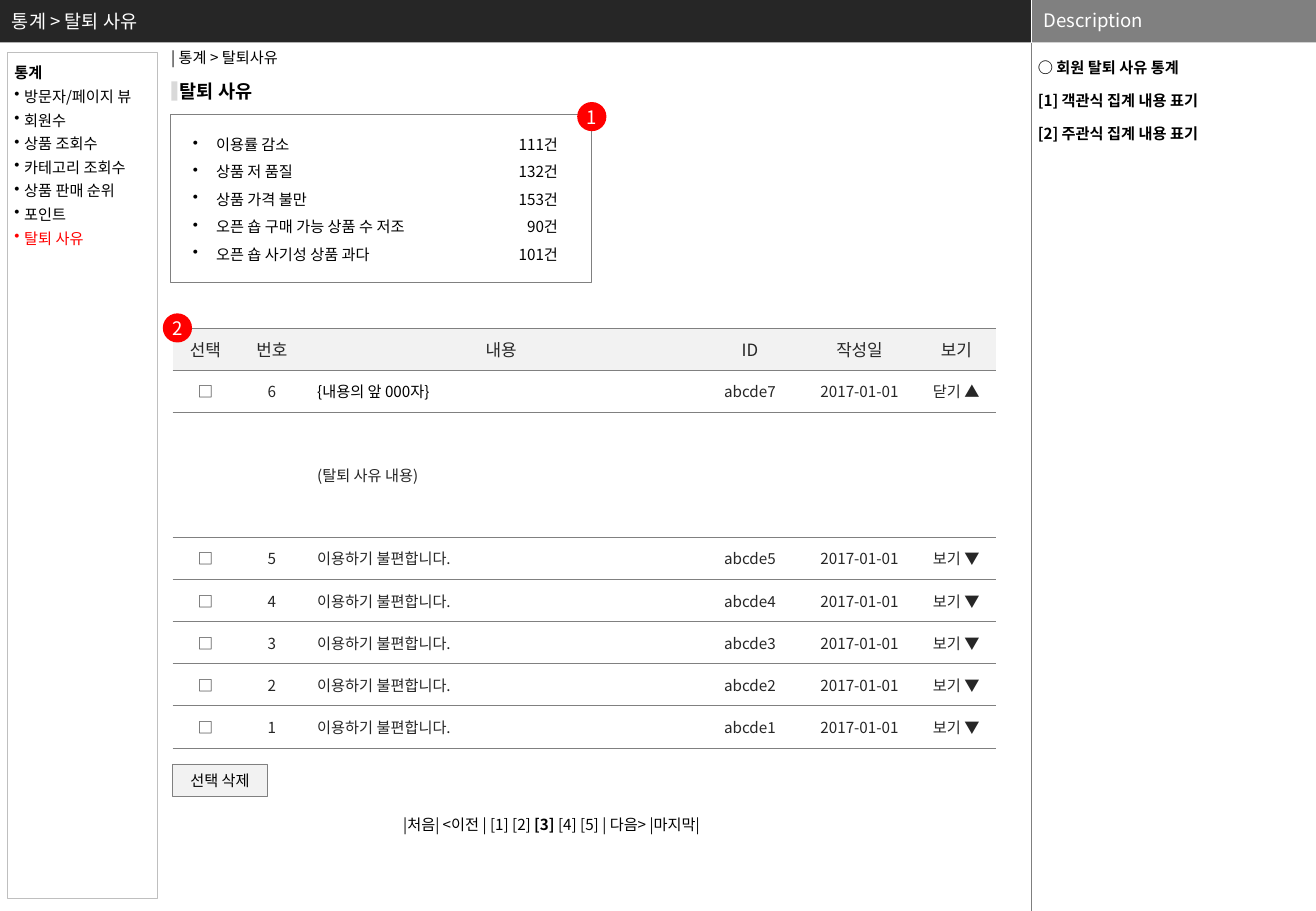
from dataclasses import dataclass

from lxml import etree
from pptx import Presentation
from pptx.dml.color import RGBColor
from pptx.enum.shapes import MSO_CONNECTOR, MSO_SHAPE
from pptx.enum.text import MSO_ANCHOR, MSO_AUTO_SIZE, PP_ALIGN
from pptx.oxml.ns import qn
from pptx.util import Emu, Inches, Pt

RECT, OVAL = MSO_SHAPE.RECTANGLE, MSO_SHAPE.OVAL
STRAIGHT = MSO_CONNECTOR.STRAIGHT
TOP, MIDDLE = MSO_ANCHOR.TOP, MSO_ANCHOR.MIDDLE
LEFT, CENTER, RIGHT = PP_ALIGN.LEFT, PP_ALIGN.CENTER, PP_ALIGN.RIGHT
FIT, FIXED = MSO_AUTO_SIZE.SHAPE_TO_FIT_TEXT, MSO_AUTO_SIZE.NONE

FONT = "Noto Sans CJK KR"
BLACK, WHITE, RED = "000000", "FFFFFF", "FF0000"
DARK, GRAY, PALE = "262626", "808080", "F2F2F2"
SPLIT, BAR = 78.39, 4.67  # description column and header height, in percent
INSETS = (0.1, 0.05, 0.1, 0.05)

prs = Presentation()
prs.slide_width, prs.slide_height = Inches(10.83), Inches(7.5)
s = prs.slides.add_slide(prs.slide_layouts[6])


@dataclass
class Box:
    """Left, top, width and height in percent of the slide."""
    x: float
    y: float
    w: float
    h: float

    def emu(self) -> tuple[Emu, Emu, Emu, Emu]:
        return across(self.x), down(self.y), across(self.w), down(self.h)


@dataclass
class Style:
    size: float = 9
    color: str = BLACK
    bold: bool = False
    align: PP_ALIGN = LEFT
    anchor: MSO_ANCHOR = TOP
    insets: tuple[float, float, float, float] = INSETS
    wrap: bool = True
    grow: bool = False
    spacing: float | Pt | None = None
    before: float = 0
    indent: float = 0


def across(share: float) -> Emu:
    return Emu(round(prs.slide_width * share / 100))


def down(share: float) -> Emu:
    return Emu(round(prs.slide_height * share / 100))


def rgb(color: str) -> RGBColor:
    return RGBColor.from_string(color)


def format_run(r, size: float, color: str, bold: bool = False) -> None:
    r.font.size, r.font.bold, r.font.name = Pt(size), bold, FONT
    r.font.color.rgb = rgb(color)
    etree.SubElement(r._r.get_or_add_rPr(), qn("a:ea"), typeface=FONT)


def add_bullet(p, indent: float) -> None:
    pPr = p._p.get_or_add_pPr()
    pPr.set("marL", str(Inches(indent)))
    pPr.set("indent", str(-Inches(indent)))
    etree.SubElement(pPr, qn("a:buChar"), char="•")


def write(tf, lines: list[str], style: Style) -> None:
    tf.text = "\n".join(lines)
    tf.word_wrap, tf.vertical_anchor = style.wrap, style.anchor
    tf.auto_size = FIT if style.grow else FIXED
    tf.margin_left, tf.margin_top, tf.margin_right, tf.margin_bottom = map(Inches, style.insets)
    for i, p in enumerate(tf.paragraphs):
        p.alignment = style.align
        if style.spacing:
            p.line_spacing = style.spacing
        if i and style.before:
            p.space_before = Pt(style.before)
        if style.indent:
            add_bullet(p, style.indent)
        for r in p.runs:
            format_run(r, style.size, style.color, style.bold)


def add_text(box: Box, lines: list[str], style: Style):
    tf = s.shapes.add_textbox(*box.emu()).text_frame
    write(tf, lines, style)
    return tf


def add_panel(box: Box, fill: str = "", line: str = "", width: float = 0.5, kind=RECT):
    sp = s.shapes.add_shape(kind, *box.emu())
    sp.shadow.inherit = False
    if fill:
        sp.fill.solid()
        sp.fill.fore_color.rgb = rgb(fill)
    else:
        sp.fill.background()
    if line:
        sp.line.color.rgb, sp.line.width = rgb(line), Pt(width)
    else:
        sp.line.fill.background()
    return sp.text_frame


def add_divider(y1: float, y2: float, color: str) -> None:
    line = s.shapes.add_connector(STRAIGHT, across(SPLIT), down(y1), across(SPLIT), down(y2))
    line.line.color.rgb, line.line.width = rgb(color), Pt(0.25)
    etree.SubElement(line._element.spPr, qn("a:effectLst"))


def add_badge(x: float, y: float, number: int) -> None:
    tf = add_panel(Box(x, y, 2.22, 3.2), RED, kind=OVAL)
    write(tf, [str(number)], Style(11, WHITE, align=CENTER, anchor=MIDDLE, insets=(0, 0, 0, 0), wrap=False))


def set_borders(cell) -> None:
    tcPr = cell._tc.get_or_add_tcPr()
    sides = {"a:lnL": "", "a:lnR": "", "a:lnT": GRAY, "a:lnB": GRAY}
    for i, (tag, color) in enumerate(sides.items()):
        ln = etree.Element(qn(tag), w=str(Pt(0.5)))
        fill = etree.SubElement(ln, qn("a:solidFill" if color else "a:noFill"))
        if color:
            etree.SubElement(fill, qn("a:srgbClr"), val=color)
        tcPr.insert(i, ln)


# Header bars and the description column
add_panel(Box(0, 0, SPLIT, BAR), DARK)
add_panel(Box(SPLIT, 0, 100 - SPLIT, BAR), GRAY)
add_divider(0, BAR, WHITE)
add_divider(BAR, 100, "7F7F7F")
header = Style(11, WHITE, anchor=MIDDLE)
add_text(Box(SPLIT, -0.13, 100 - SPLIT, BAR), ["Description"], header)
add_text(Box(0, 0, 76.18, BAR), ["통계 > 탈퇴 사유"], header)
add_text(Box(78.49, BAR, 21.51, 100 - BAR),
         ["○ 회원 탈퇴 사유 통계", "[1] 객관식 집계 내용 표기", "[2] 주관식 집계 내용 표기"],
         Style(bold=True, insets=(0.04, 0.13, 0.04, 0), before=8.6))

# Breadcrumb and page title
inline = Style(wrap=False, grow=True)
add_text(Box(12.1, BAR, 11.17, 3.33), ["| 통계 > 탈퇴사유"], inline)
add_text(Box(13.67, 8.8, 6.19, 2.53), ["탈퇴 사유"],
         Style(11, bold=True, insets=(0, 0, 0, 0), wrap=False, grow=True))
add_panel(Box(13.02, 8.93, 0.46, 2.13), "D9D9D9")

# Side menu: bold heading, bulleted entries, current page in red
MENU = ["통계", "방문자/페이지 뷰", "회원수", "상품 조회수", "카테고리 조회수", "상품 판매 순위", "포인트", "탈퇴 사유"]
menu = add_panel(Box(0.55, 5.73, 11.45, 92.93), line="BFBFBF", width=0.75)
write(menu, MENU, Style(insets=(0.06, 0.05, 0, 0.05), wrap=False, spacing=Pt(14)))
for p in menu.paragraphs[1:]:
    add_bullet(p, 0.08)
menu.paragraphs[0].runs[0].font.bold = True
menu.paragraphs[-1].runs[0].font.color.rgb = rgb(RED)

# Counts by reason
REASONS = {"이용률 감소": 111, "상품 저 품질": 132, "상품 가격 불만": 153,
           "오픈 숍 구매 가능 상품 수 저조": 90, "오픈 숍 사기성 상품 과다": 101}
add_panel(Box(12.93, 12.53, 32.04, 18.53), line=GRAY)
add_text(Box(13.76, 13.2, 23.92, 16.53), list(REASONS), Style(grow=True, spacing=1.5, indent=0.19))
add_text(Box(37.95, 13.2, 5.36, 16.53), [f"{n}건" for n in REASONS.values()],
         Style(grow=True, spacing=1.5, align=RIGHT))
add_badge(43.86, 11.2, 1)

# Table of written reasons
COLUMN_SHARES = [8, 8.1, 47.6, 12.8, 13.8, 9.7]
CONTENT, DETAIL_ROW = 2, 2
ROWS = [
    ["선택", "번호", "내용", "ID", "작성일", "보기"],
    ["□", "6", "{내용의 앞 000자}", "abcde7", "2017-01-01", "닫기 ▲"],
    ["", "", "(탈퇴 사유 내용)", "", "", ""],
    *[["□", str(n), "이용하기 불편합니다.", f"abcde{n}", "2017-01-01", "보기 ▼"] for n in range(5, 0, -1)],
]
area, detail = Box(13.11, 36, 62.6, 46.13), 13.73
table = s.shapes.add_table(len(ROWS), len(COLUMN_SHARES), *area.emu()).table
table.first_row = table.horz_banding = False
for column, share in zip(table.columns, COLUMN_SHARES):
    column.width = across(area.w * share / 100)
for i, row in enumerate(ROWS):
    table.rows[i].height = down(detail if i == DETAIL_ROW else (area.h - detail) / (len(ROWS) - 1))
    for j, text in enumerate(row):
        cell = table.cell(i, j)
        cell.text, cell.vertical_anchor = text, MIDDLE
        p = cell.text_frame.paragraphs[0]
        p.alignment = LEFT if i and j == CONTENT else CENTER
        for r in p.runs:
            format_run(r, 9 if i else 10, BLACK if (i, j) == (1, CONTENT) else DARK)
        if i:
            cell.fill.background()
        else:
            cell.fill.solid()
            cell.fill.fore_color.rgb = rgb(PALE)
        set_borders(cell)
add_badge(12.37, 34.4, 2)

# Delete button and pager
button = add_panel(Box(13.11, 83.87, 7.2, 3.6), PALE, GRAY)
write(button, ["선택 삭제"], Style(align=CENTER, anchor=MIDDLE, insets=(0.04,) * 4, wrap=False))
pager = add_text(Box(29.73, 88.8, 27.42, 3.33), ["|처음| <이전 | [1] [2] "], inline)
for text, current in (("[3]", True), (" [4] [5] | 다음> |마지막|", False)):
    r = pager.paragraphs[0].add_run()
    r.text = text
    format_run(r, 9, BLACK, current)

prs.save("out.pptx")
